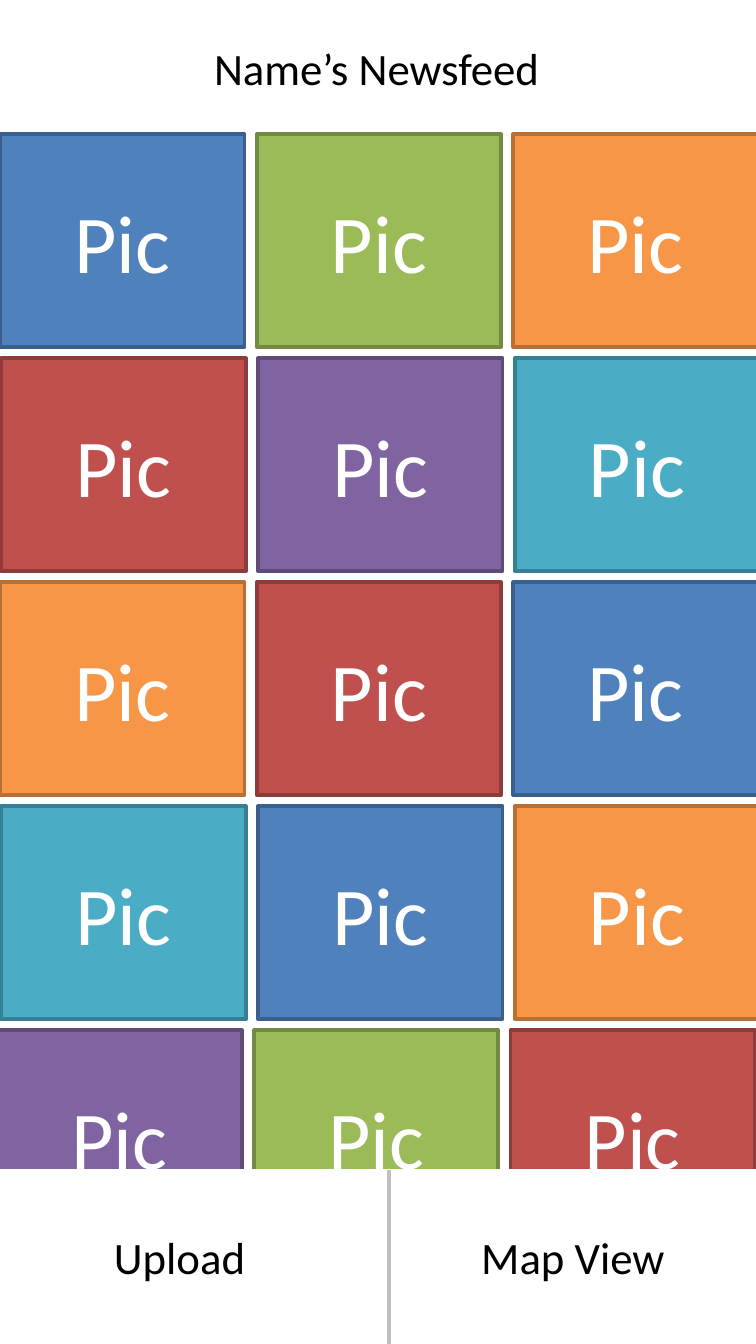
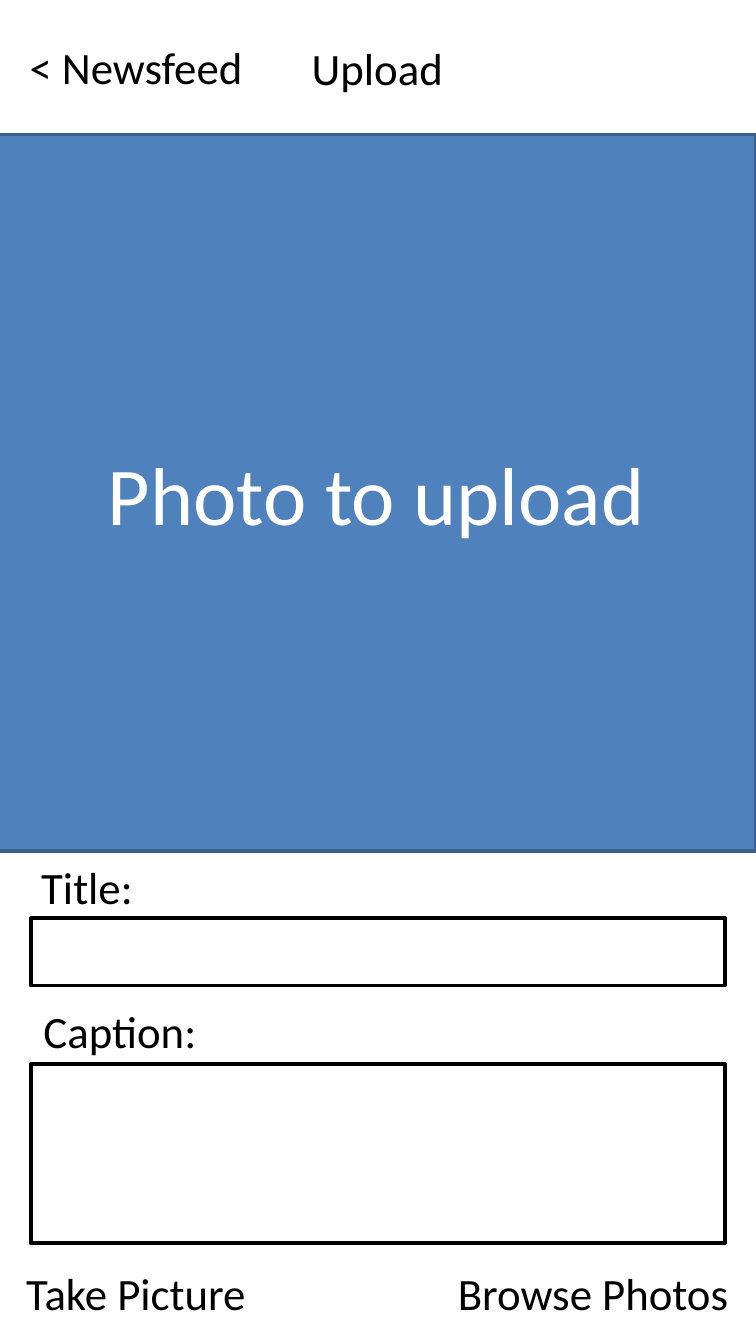
"""Build a two-screen mock-up of a photo sharing app."""
from pptx import Presentation
from pptx.dml.color import RGBColor
from pptx.enum.shapes import MSO_CONNECTOR, MSO_SHAPE
from pptx.enum.text import MSO_ANCHOR, MSO_AUTO_SIZE, PP_ALIGN
from pptx.oxml.ns import qn
from pptx.util import Pt
from lxml import etree

RECTANGLE, STRAIGHT = MSO_SHAPE.RECTANGLE, MSO_CONNECTOR.STRAIGHT
TOP, MIDDLE = MSO_ANCHOR.TOP, MSO_ANCHOR.MIDDLE
LEFT, CENTER = PP_ALIGN.LEFT, PP_ALIGN.CENTER
FIT_SHAPE = MSO_AUTO_SIZE.SHAPE_TO_FIT_TEXT

FONT = "Calibri"
LABEL_SIZE, PICTURE_SIZE = 24, 44
SLIDE_WIDTH, SLIDE_HEIGHT = 405, 720
TITLE_TOP, LABEL_HEIGHT, CONTENT_TOP = 18, 36.35, 72
TITLE_ONLY = 5

COLORS = {
    "white": "FFFFFF", "black": "000000", "divider": "BFBFBF",
    "blue": "4F81BD", "blue edge": "3A5F8C",
    "green": "9BBB59", "green edge": "738A42",
    "orange": "F79646", "orange edge": "B76F34",
    "red": "C0504D", "red edge": "8E3B39",
    "purple": "8064A2", "purple edge": "5F4A78",
    "teal": "4BACC6", "teal edge": "377F92",
}

FEED_TITLE = ("Name\u2019s Newsfeed", 107.5, 191)
FEED_ROWS = [
    (0, ("blue", "green", "orange")),
    (0.75, ("red", "purple", "teal")),
    (0, ("orange", "red", "blue")),
    (0.75, ("teal", "blue", "orange")),
    (-1.5, ("purple", "green", "red")),
]
TILE_WIDTH, TILE_HEIGHT = 131, 114
COLUMN_STEP, ROW_STEP = 137.5, 120
FOOTER_TOP, DIVIDER_LEFT = 627, 208.5
FEED_LABELS = [("Upload", 54, 655, 85.5), ("Map View", 250.75, 655, 114)]

UPLOAD_TITLE = ("Upload", 159.75, 85.5)
PHOTO = ("Photo to upload", -1.5, CONTENT_TOP, 406.5, 384)
UPLOAD_LABELS = [
    ("< Newsfeed", 8.75, TITLE_TOP, 129.5),
    ("Title:", 15, 457.25, 64),
    ("Caption:", 16.25, 534, 97),
    ("Take Picture", 7, 674.5, 133.5),
    ("Browse Photos", 238.25, 674.5, 160.5),
]
FIELD_LEFT, FIELD_WIDTH = 16.5, 372
FIELDS = [(492, 36), (570, 96)]


def color(name):
    return RGBColor.from_string(COLORS[name])


def write(shape, text, size, color_name, alignment, anchor):
    frame = shape.text_frame
    frame.vertical_anchor = anchor
    paragraph = frame.paragraphs[0]
    paragraph.alignment = alignment
    run = paragraph.add_run()
    run.text = text
    run.font.name = FONT
    run.font.size = Pt(size)
    run.font.color.rgb = color(color_name)


def place(shape, left, top, width, height):
    shape.left, shape.top = Pt(left), Pt(top)
    shape.width, shape.height = Pt(width), Pt(height)


def fill_label(shape, text, left, top, width):
    place(shape, left, top, width, LABEL_HEIGHT)
    shape.text_frame.word_wrap = False
    shape.text_frame.auto_size = FIT_SHAPE
    write(shape, text, LABEL_SIZE, "black", LEFT, TOP)


def add_labels(slide, labels):
    for label in labels:
        fill_label(slide.shapes.add_textbox(0, 0, 0, 0), *label)


def add_box(slide, left, top, width, height, fill, edge):
    box = slide.shapes.add_shape(RECTANGLE, Pt(left), Pt(top), Pt(width), Pt(height))
    box.shadow.inherit = False
    box.fill.solid()
    box.fill.fore_color.rgb = color(fill)
    box.line.color.rgb = color(edge)
    box.line.width = Pt(2)
    return box


def add_picture_box(slide, text, left, top, width, height, fill):
    box = add_box(slide, left, top, width, height, fill, f"{fill} edge")
    write(box, text, PICTURE_SIZE, "white", CENTER, MIDDLE)


def add_divider(slide, left, top, bottom):
    divider = slide.shapes.add_connector(STRAIGHT, Pt(left), Pt(top), Pt(left), Pt(bottom))
    divider.line.color.rgb = color("divider")
    divider.line.width = Pt(2.25)
    etree.SubElement(divider._element.spPr, qn("a:effectLst"))


def add_screen(presentation, title):
    slide = presentation.slides.add_slide(presentation.slide_layouts[TITLE_ONLY])
    text, left, width = title
    fill_label(slide.shapes.title, text, left, TITLE_TOP, width)
    return slide


def build_newsfeed(presentation):
    slide = add_screen(presentation, FEED_TITLE)
    for row, (offset, fills) in enumerate(FEED_ROWS):
        for column, fill in enumerate(fills):
            add_picture_box(slide, "Pic", offset + column * COLUMN_STEP,
                            CONTENT_TOP + row * ROW_STEP, TILE_WIDTH, TILE_HEIGHT, fill)
    add_box(slide, -1.5, FOOTER_TOP, 407.5, SLIDE_HEIGHT - FOOTER_TOP, "white", "white")
    add_divider(slide, DIVIDER_LEFT, FOOTER_TOP, SLIDE_HEIGHT)
    add_labels(slide, FEED_LABELS)


def build_upload(presentation):
    slide = add_screen(presentation, UPLOAD_TITLE)
    add_picture_box(slide, *PHOTO, "blue")
    for top, height in FIELDS:
        add_box(slide, FIELD_LEFT, top, FIELD_WIDTH, height, "white", "black")
    add_labels(slide, UPLOAD_LABELS)


presentation = Presentation()
presentation.slide_width, presentation.slide_height = Pt(SLIDE_WIDTH), Pt(SLIDE_HEIGHT)
build_newsfeed(presentation)
build_upload(presentation)
presentation.save("out.pptx")
